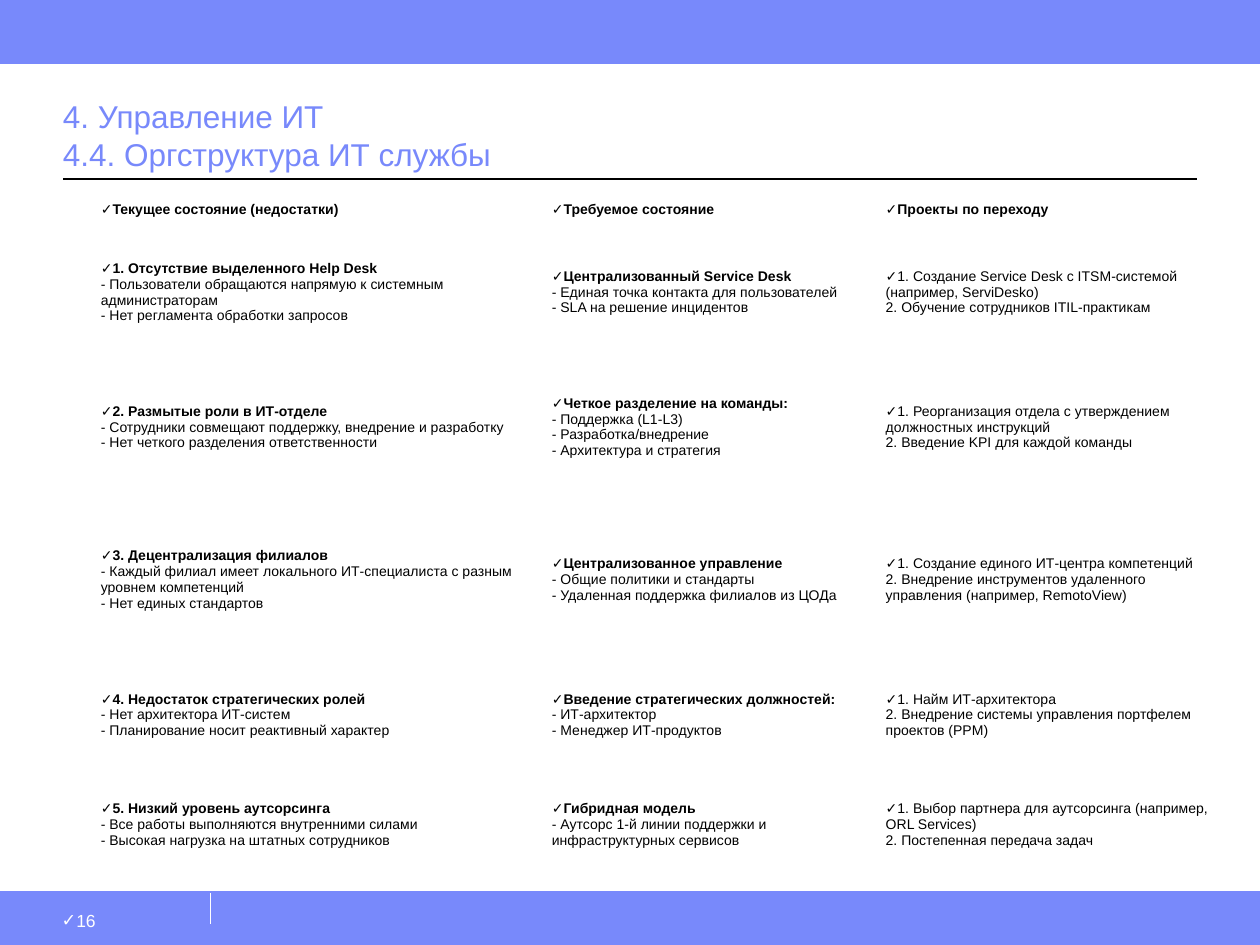
from lxml import etree
from pptx import Presentation
from pptx.dml.color import RGBColor
from pptx.enum.shapes import MSO_CONNECTOR, MSO_SHAPE
from pptx.enum.text import MSO_ANCHOR
from pptx.oxml.ns import qn
from pptx.util import Inches, Pt

BLUE = RGBColor(0x78, 0x89, 0xFB)
BLACK = RGBColor(0x00, 0x00, 0x00)
WHITE = RGBColor(0xFF, 0xFF, 0xFF)
RECT = MSO_SHAPE.RECTANGLE
STRAIGHT = MSO_CONNECTOR.STRAIGHT
TOP, MIDDLE, BOTTOM = MSO_ANCHOR.TOP, MSO_ANCHOR.MIDDLE, MSO_ANCHOR.BOTTOM

COLUMNS = [3.61, 2.65, 2.65]
ROW_HEIGHTS = [0.32, 1, 1.14, 1.28, 0.87, 0.87]
HEADERS = ["Текущее состояние (недостатки)", "Требуемое состояние", "Проекты по переходу"]
ROWS = [
    [
        ("1. Отсутствие выделенного Help Desk",
         ["- Пользователи обращаются напрямую к системным администраторам",
          "- Нет регламента обработки запросов"]),
        ("Централизованный Service Desk",
         ["- Единая точка контакта для пользователей", "- SLA на решение инцидентов"]),
        ("", ["1. Создание Service Desk с ITSM-системой (например, ServiDesko)",
              "2. Обучение сотрудников ITIL-практикам"]),
    ],
    [
        ("2. Размытые роли в ИТ-отделе",
         ["- Сотрудники совмещают поддержку, внедрение и разработку",
          "- Нет четкого разделения ответственности"]),
        ("Четкое разделение на команды:",
         ["- Поддержка (L1-L3)", "- Разработка/внедрение", "- Архитектура и стратегия"]),
        ("", ["1. Реорганизация отдела с утверждением должностных инструкций",
              "2. Введение KPI для каждой команды"]),
    ],
    [
        ("3. Децентрализация филиалов",
         ["- Каждый филиал имеет локального ИТ-специалиста с разным уровнем компетенций",
          "- Нет единых стандартов"]),
        ("Централизованное управление",
         ["- Общие политики и стандарты", "- Удаленная поддержка филиалов из ЦОДа"]),
        ("", ["1. Создание единого ИТ-центра компетенций",
              "2. Внедрение инструментов удаленного управления (например, RemotoView)"]),
    ],
    [
        ("4. Недостаток стратегических ролей",
         ["- Нет архитектора ИТ-систем", "- Планирование носит реактивный характер"]),
        ("Введение стратегических должностей:",
         ["- ИТ-архитектор", "- Менеджер ИТ-продуктов"]),
        ("", ["1. Найм ИТ-архитектора",
              "2. Внедрение системы управления портфелем проектов (PPM)"]),
    ],
    [
        ("5. Низкий уровень аутсорсинга",
         ["- Все работы выполняются внутренними силами",
          "- Высокая нагрузка на штатных сотрудников"]),
        ("Гибридная модель",
         ["- Аутсорс 1-й линии поддержки и инфраструктурных сервисов"]),
        ("", ["1. Выбор партнера для аутсорсинга (например, ORL Services)",
              "2. Постепенная передача задач"]),
    ],
]


def write(p, lines, size, color=BLACK, bold_first=False, bullet=False):
    if bullet:
        pPr = p._p.get_or_add_pPr()
        pPr.set("marL", "0")
        pPr.set("indent", "0")
        etree.SubElement(pPr, qn("a:buFont"), typeface="Arial")
        etree.SubElement(pPr, qn("a:buChar"), char="✓")
    for i, line in enumerate(lines):
        if i:
            p.add_line_break()
            etree.SubElement(p._p[-1], qn("a:rPr"), sz=str(size * 100))
        r = p.add_run()
        r.text = line
        r.font.name = "Arial"
        r.font.size = Pt(size)
        r.font.bold = bold_first and i == 0
        r.font.color.rgb = color


class SlideBuilder:
    """Holds the style and the current slide, and adds elements to it."""

    def __init__(self, prs):
        self.s = prs.slides.add_slide(prs.slide_layouts[6])

    def band(self, y, h):
        sp = self.s.shapes.add_shape(RECT, 0, Inches(y), Inches(10), Inches(h))
        sp.shadow.inherit = False
        sp.fill.solid()
        sp.fill.fore_color.rgb = BLUE
        sp.line.color.rgb = BLUE
        sp.line.width = Pt(0.75)

    def line(self, x1, y1, x2, y2, color, width=0.75):
        ln = self.s.shapes.add_connector(STRAIGHT, Inches(x1), Inches(y1), Inches(x2), Inches(y2))
        ln.line.color.rgb = color
        ln.line.width = Pt(width)
        etree.SubElement(ln._element.spPr, qn("a:effectLst"))

    def text(self, box, insets, paragraphs, anchor=TOP, **fmt):
        tf = self.s.shapes.add_textbox(*map(Inches, box)).text_frame
        tf.word_wrap = True
        tf.vertical_anchor = anchor
        tf.margin_left, tf.margin_top, tf.margin_right, tf.margin_bottom = map(Inches, insets)
        for i, text in enumerate(paragraphs):
            p = tf.add_paragraph() if i else tf.paragraphs[0]
            write(p, [text], **fmt)

    def table(self, x, y, rows):
        shape = self.s.shapes.add_table(len(rows), len(COLUMNS), Inches(x), Inches(y),
                                        Inches(sum(COLUMNS)), Inches(sum(ROW_HEIGHTS)))
        table = shape.table
        table.first_row = table.horz_banding = False
        for column, width in zip(table.columns, COLUMNS):
            column.width = Inches(width)
        for row, height, contents in zip(table.rows, ROW_HEIGHTS, rows):
            row.height = Inches(height)
            for c, (heading, details) in enumerate(contents):
                self.cell(row.cells[c], heading, details, 0.02 if c else 0.05)

    def cell(self, cell, heading, details, left):
        cell.fill.solid()
        cell.fill.fore_color.rgb = WHITE
        cell.vertical_anchor = MIDDLE
        cell.margin_left = Inches(left)
        cell.margin_top = cell.margin_right = cell.margin_bottom = Inches(0.02)
        lines = [heading] + details if heading else details
        write(cell.text_frame.paragraphs[0], lines, 8, bold_first=bool(heading), bullet=True)


def main():
    prs = Presentation()
    prs.slide_width, prs.slide_height = Inches(10), Inches(7.5)
    slide = SlideBuilder(prs)
    slide.band(7.08, 0.42)
    slide.band(0, 0.5)
    slide.line(1.67, 7.33, 1.67, 7.08, WHITE)
    for y in (0.42, 7.08):
        slide.line(0, y, 10, y, BLUE, 0.5)
    slide.line(0.5, 1.42, 9.5, 1.42, BLACK)
    slide.text((0.33, 7.15, 1.33, 0.35), (0.16, 0.07, 0.1, 0.05), ["16"],
               size=10, color=WHITE, bullet=True)
    slide.text((0.5, 0.5, 9, 0.92), (0, 0.05, 0, 0.05),
               ["4. Управление ИТ", "4.4. Оргструктура ИТ службы"],
               anchor=BOTTOM, size=18, color=BLUE)
    slide.table(0.75, 1.5, [[(header, []) for header in HEADERS]] + ROWS)
    prs.save("out.pptx")


if __name__ == "__main__":
    main()
